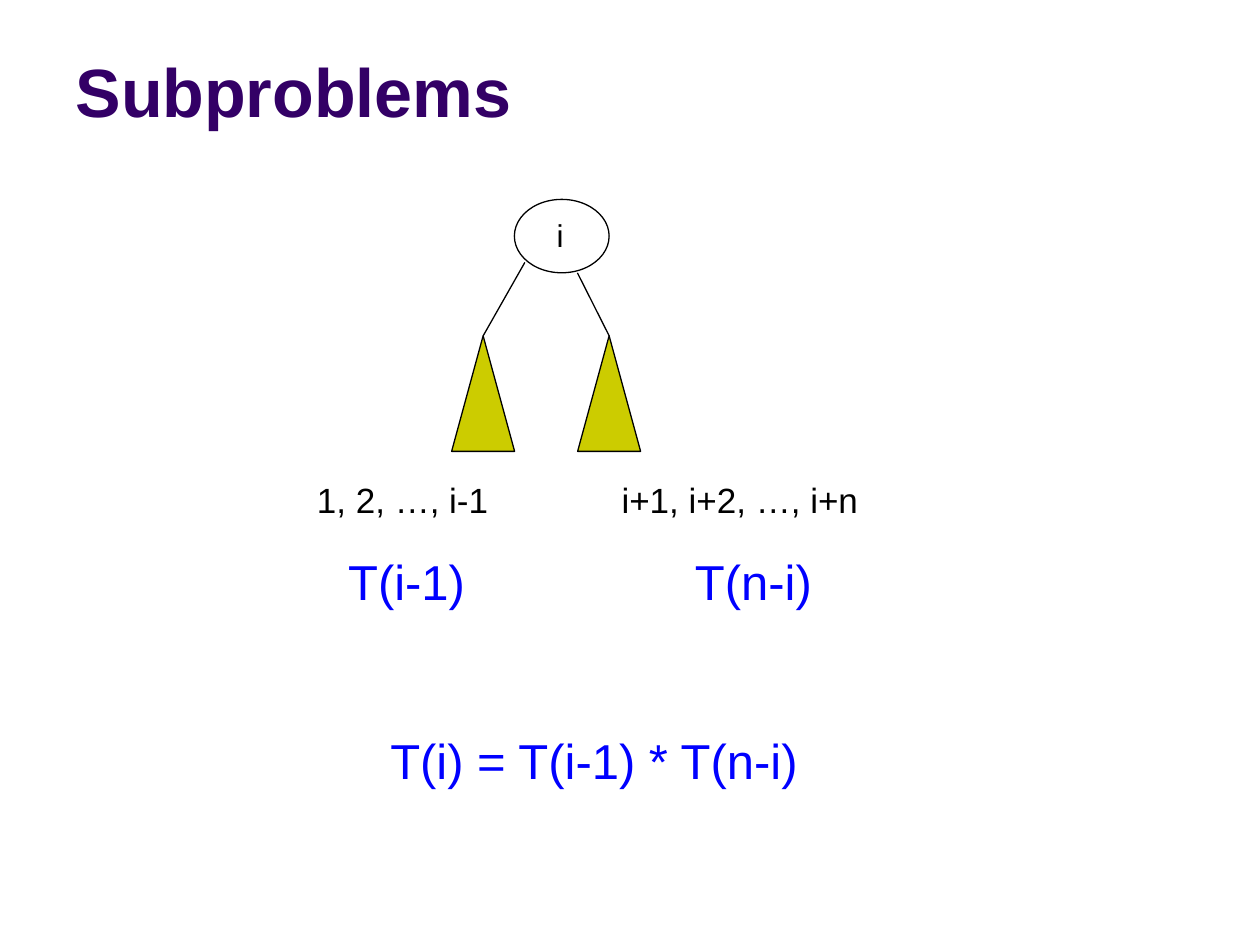
"""Build a slide that splits a tree-counting problem into two subproblems."""
from lxml import etree
from pptx import Presentation
from pptx.dml.color import RGBColor
from pptx.enum.shapes import MSO_CONNECTOR, MSO_SHAPE
from pptx.enum.text import MSO_ANCHOR, MSO_AUTO_SIZE, PP_ALIGN
from pptx.oxml.ns import qn
from pptx.util import Cm, Pt

STRAIGHT = MSO_CONNECTOR.STRAIGHT
OVAL, TRIANGLE = MSO_SHAPE.OVAL, MSO_SHAPE.ISOSCELES_TRIANGLE
TOP, BOTTOM = MSO_ANCHOR.TOP, MSO_ANCHOR.BOTTOM
LEFT, FIXED = PP_ALIGN.LEFT, MSO_AUTO_SIZE.NONE

PURPLE = RGBColor(0x33, 0x00, 0x66)
BLACK = RGBColor(0x00, 0x00, 0x00)
BLUE = RGBColor(0x00, 0x00, 0xFF)
OLIVE = RGBColor(0xCC, 0xCC, 0x00)

TITLE = "Subproblems"
LABELS = [
    ("i", 10.97, 4.23, 1.52, 1.02, 18, BLACK),
    ("1, 2, …, i-1", 6.14, 9.53, 4.45, 1.09, 20, BLACK),
    ("i+1, i+2, …, i+n", 12.28, 9.53, 5.5, 1.09, 20, BLACK),
    ("T(i-1)", 6.77, 11, 2.97, 1.45, 28, BLUE),
    ("T(n-i)", 13.76, 11, 3.6, 1.45, 28, BLUE),
    ("T(i) = T(i-1) * T(n-i)", 7.62, 14.61, 9.1, 1.45, 28, BLUE),
]
ROOT = (10.37, 4.02, 1.91, 1.48)
SUBTREE_WIDTH, SUBTREE_HEIGHT, SUBTREE_TOP = 1.27, 2.33, 6.77
BRANCHES = [((10.58, 5.29), 9.74), ((11.64, 5.5), 12.28)]


def write_text(frame, text, size, color, bold=False, anchor=TOP):
    frame.word_wrap = True
    frame.auto_size = FIXED
    frame.vertical_anchor = anchor
    paragraph = frame.paragraphs[0]
    paragraph.text = text
    paragraph.alignment = LEFT
    font = paragraph.font
    font.name, font.size, font.bold = "Arial", Pt(size), bold
    font.color.rgb = color


def outline(part):
    part.line.color.rgb = BLACK
    part.line.width = Pt(0.75)


def add_node(shapes, kind, box, fill=None):
    node = shapes.add_shape(kind, *map(Cm, box))
    node.shadow.inherit = False
    if fill is None:
        node.fill.background()
    else:
        node.fill.solid()
        node.fill.fore_color.rgb = fill
    outline(node)


def add_branch(shapes, start, end):
    branch = shapes.add_connector(STRAIGHT, *map(Cm, start + end))
    outline(branch)
    etree.SubElement(branch._element.spPr, qn("a:effectLst"))


def main():
    deck = Presentation()
    deck.slide_width, deck.slide_height = Cm(25.4), Cm(19.05)
    slide = deck.slides.add_slide(deck.slide_layouts[5])
    shapes = slide.shapes

    title = shapes.title
    title.left, title.top, title.width, title.height = map(Cm, (1.27, 0.33, 22.86, 2.44))
    write_text(title.text_frame, TITLE, 39, PURPLE, bold=True, anchor=BOTTOM)

    add_node(shapes, OVAL, ROOT)
    for start, apex in BRANCHES:
        add_branch(shapes, start, (apex, SUBTREE_TOP))
        subtree = (apex - SUBTREE_WIDTH / 2, SUBTREE_TOP, SUBTREE_WIDTH, SUBTREE_HEIGHT)
        add_node(shapes, TRIANGLE, subtree, fill=OLIVE)

    for text, left, top, width, height, size, color in LABELS:
        label = shapes.add_textbox(Cm(left), Cm(top), Cm(width), Cm(height))
        write_text(label.text_frame, text, size, color)

    deck.save("out.pptx")


if __name__ == "__main__":
    main()
